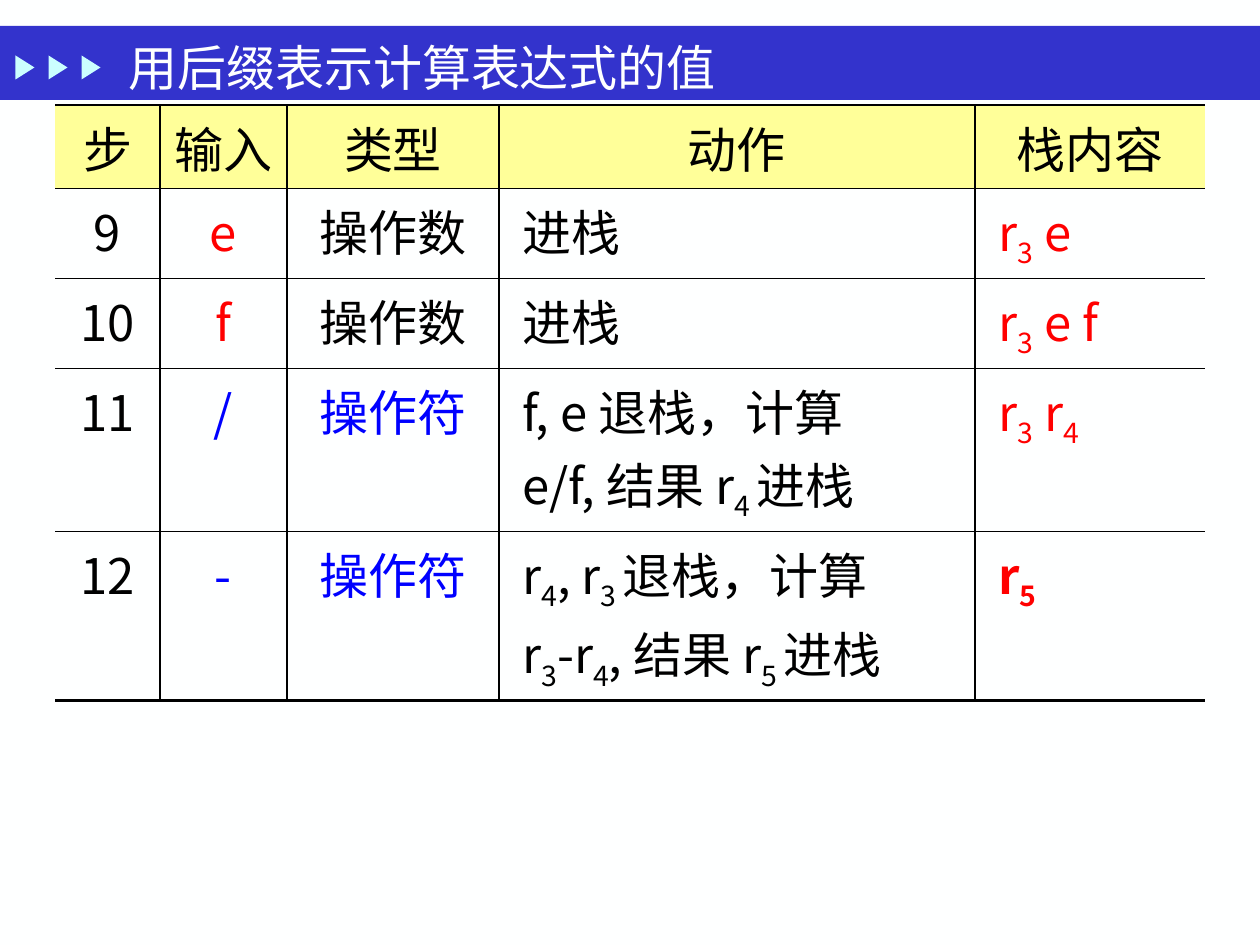
from lxml.etree import SubElement
from pptx import Presentation
from pptx.dml.color import RGBColor
from pptx.enum.shapes import MSO_SHAPE as Shape
from pptx.enum.text import MSO_ANCHOR as Anchor, PP_ALIGN as Align
from pptx.oxml import parse_xml
from pptx.oxml.ns import nsdecls, qn
from pptx.util import Pt

EMU_PER_PX = 914400 / 126
SANS, SERIF = "Noto Sans CJK SC", "Times New Roman"
BLACK, RED, BLUE, YELLOW = "000000", "FF0000", "0000FF", "FFFF99"
OFF_WHITE = "FEFFFF"

COLUMN_WIDTHS = [105, 127, 212, 476, 230]
ROW_HEIGHTS = [83, 90, 90, 163, 169]
HEADINGS = ["步", "输入", "类型", "动作", "栈内容"]
# Pieces between bars alternate between normal text and subscript.
STEPS = [
    ["9", "e", "操作数", " 进栈", " r|3| e"],
    ["10", "f", "操作数", " 进栈", " r|3| e f"],
    ["11", "/", "操作符", " f, e 退栈，计算\n e/f, 结果 r|4 |进栈", " r|3| r|4"],
    ["12", "-", "操作符",
     " r|4|, r|3 |退栈，计算\n r|3|-r|4|, 结果 r|5 |进栈", " r|5"],
]


def px(length):
    return round(length * EMU_PER_PX)


def color(hex_string):
    return RGBColor.from_string(hex_string)


def format_run(run, latin, ink, bold=False):
    run.font.size = Pt(28)
    run.font.name = latin
    run.font.bold = bold
    run.font.color.rgb = color(ink)
    SubElement(run.font._element, qn("a:ea")).set("typeface", SANS)


def add_block(slide, kind, left, top, width, height, fill):
    block = slide.shapes.add_shape(kind, px(left), px(top), px(width), px(height))
    block.shadow.inherit = False
    block.fill.solid()
    block.fill.fore_color.rgb = color(fill)
    block.line.fill.background()
    return block


def add_title_bar(slide, left, top, width, height):
    add_block(slide, Shape.RECTANGLE, left, top, width, height, "3333CC")
    for i in range(3):
        arrow = add_block(slide, Shape.ISOSCELES_TRIANGLE,
                          left + 13 + 33 * i, top + 32, 24, 19, "CBFFFF")
        arrow.rotation = 90

    title = slide.shapes.title
    title.left, title.top = px(left + 116), px(top + 9)
    title.width, title.height = px(882), px(63)
    frame = title.text_frame
    frame.text = "用后缀表示计算表达式的值"
    frame.vertical_anchor = Anchor.MIDDLE
    frame.paragraphs[0].alignment = Align.LEFT
    format_run(frame.paragraphs[0].runs[0], SERIF, OFF_WHITE)
    slide.shapes._spTree.append(title._element)  # in front of the bar


def set_borders(cell, widths):
    """Draw left, right, top and bottom borders; a width of 0 hides one."""
    properties = cell._tc.get_or_add_tcPr()
    for place, (side, width) in enumerate(zip("LRTB", widths)):
        paint = (f'<a:solidFill><a:srgbClr val="{BLACK}"/></a:solidFill>'
                 if width else "<a:noFill/>")
        properties.insert(place, parse_xml(
            f'<a:ln{side} {nsdecls("a")} w="{Pt(width)}">{paint}</a:ln{side}>'))


def space_before(paragraph, percent):
    spacing = parse_xml(f'<a:spcBef {nsdecls("a")}>'
                        f'<a:spcPct val="{percent * 1000}"/></a:spcBef>')
    paragraph._p.get_or_add_pPr().insert(0, spacing)


def write_cell(cell, text, ink, align, bold):
    lines = text.split("\n")
    frame = cell.text_frame
    for i, line in enumerate(lines):
        paragraph = frame.add_paragraph() if i else frame.paragraphs[0]
        paragraph.alignment = align
        space_before(paragraph, 5 if len(lines) > 1 else 20)
        for j, piece in enumerate(line.split("|")):
            run = paragraph.add_run()
            run.text = piece
            format_run(run, SANS, ink, bold)
            if j % 2:
                run.font._element.set("baseline", "-25000")


def cell_ink(row, column, kind):
    if row == 0 or column in (0, 3):
        return BLACK
    if column == 4:
        return RED
    if kind == "操作符":
        return BLUE
    return RED if column == 1 else BLACK


def add_steps_table(slide, left, top):
    rows = [HEADINGS] + STEPS
    last_row, last_column = len(rows) - 1, len(HEADINGS) - 1
    table = slide.shapes.add_table(
        len(rows), len(HEADINGS), px(left), px(top),
        px(sum(COLUMN_WIDTHS)), px(sum(ROW_HEIGHTS))).table
    table.first_row = table.horz_banding = False
    for column, width in zip(table.columns, COLUMN_WIDTHS):
        column.width = px(width)
    for row, height in zip(table.rows, ROW_HEIGHTS):
        row.height = px(height)

    for r, texts in enumerate(rows):
        for c, text in enumerate(texts):
            cell = table.cell(r, c)
            if r == 0:
                cell.fill.solid()
                cell.fill.fore_color.rgb = color(YELLOW)
            else:
                cell.fill.background()
            set_borders(cell, [int(c > 0), int(c < last_column), 1,
                               2.25 if r == last_row else 1])
            align = Align.LEFT if r and c >= 3 else Align.CENTER
            is_result = r == last_row and c == last_column
            write_cell(cell, text, cell_ink(r, c, texts[2]), align, is_result)


def main():
    deck = Presentation()
    deck.slide_width, deck.slide_height = px(1260), px(945)
    slide = deck.slides.add_slide(deck.slide_layouts[5])
    slide.background.fill.solid()
    slide.background.fill.fore_color.rgb = color(OFF_WHITE)
    add_title_bar(slide, 0, 26, 1260, 74)
    add_steps_table(slide, 55, 105)
    deck.save("out.pptx")


if __name__ == "__main__":
    main()
